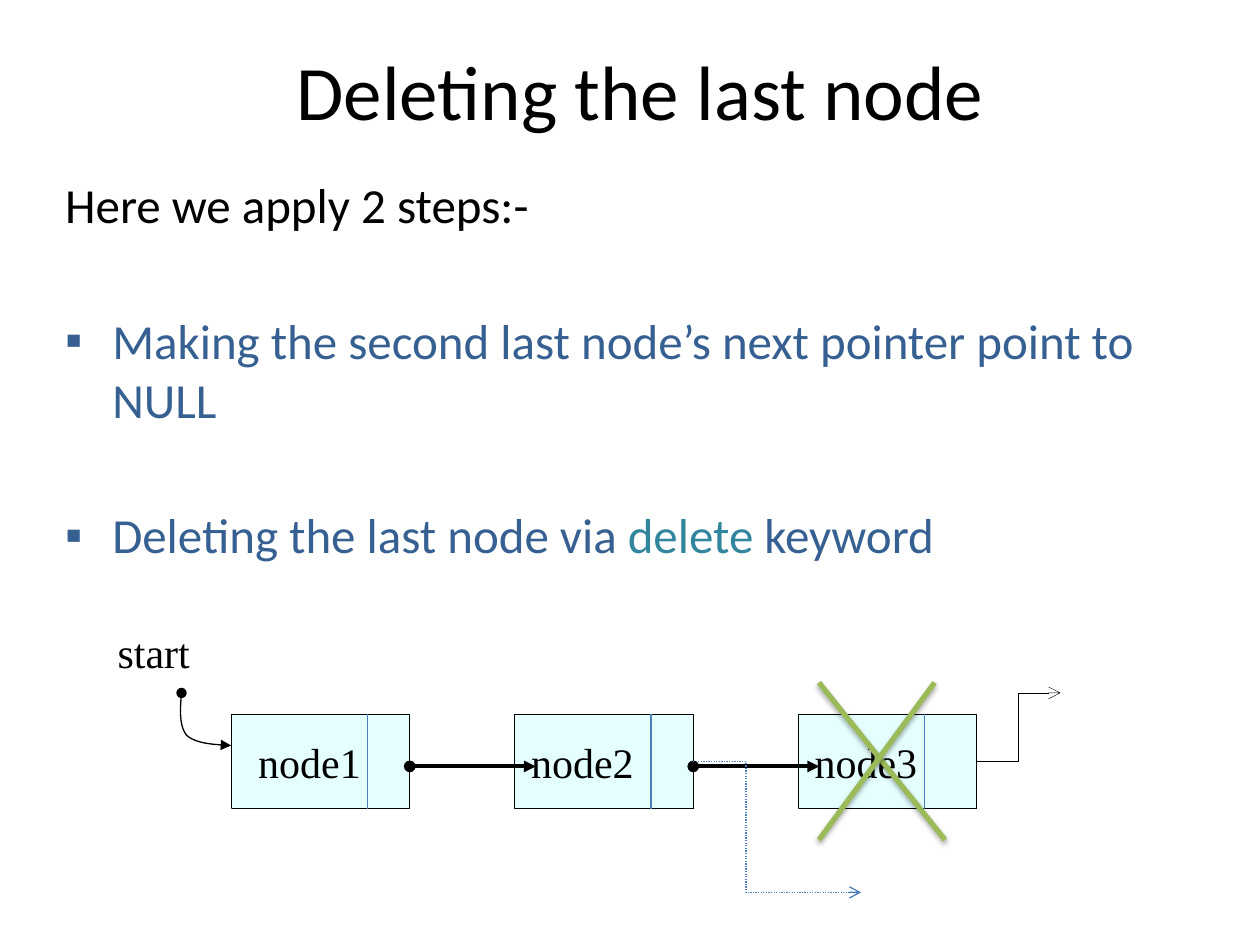
from lxml import etree
from pptx import Presentation
from pptx.dml.color import RGBColor
from pptx.enum.dml import MSO_LINE
from pptx.enum.shapes import MSO_CONNECTOR, MSO_SHAPE
from pptx.enum.text import MSO_ANCHOR, MSO_AUTO_SIZE, PP_ALIGN
from pptx.oxml.ns import qn
from pptx.util import Cm, Pt

STRAIGHT, ELBOW = MSO_CONNECTOR.STRAIGHT, MSO_CONNECTOR.ELBOW
RECT, DOT = MSO_SHAPE.RECTANGLE, MSO_LINE.ROUND_DOT
MIDDLE, FIXED = MSO_ANCHOR.MIDDLE, MSO_AUTO_SIZE.NONE
LEFT, CENTER = PP_ALIGN.LEFT, PP_ALIGN.CENTER
BLACK, BLUE, TEAL = "000000", "376092", "31859C"
STEEL, GREEN, AQUA = "4B7EBC", "9BBB59", "CCFFFF"
SERIF = "Times New Roman"
rgb = RGBColor.from_string


def write(para, text, size=28, color=BLACK, font="Calibri", align=LEFT):
    para.alignment = align
    run = para.add_run()
    run.text = text
    run.font.size, run.font.name = Pt(size), font
    run.font.color.rgb = rgb(color)


def stroke(shape, color, width, head=None, tail=None, dash=None):
    shape.line.color.rgb = rgb(color)
    shape.line.width = Pt(width)
    if dash:
        shape.line.dash_style = dash
    ln = shape.line._get_or_add_ln()
    for tag, kind in (("a:headEnd", head), ("a:tailEnd", tail)):
        if kind:
            etree.SubElement(ln, qn(tag), type=kind)
    props = shape._element.spPr
    if props.find(qn("a:effectLst")) is None:
        etree.SubElement(props, qn("a:effectLst"))
    return props


deck = Presentation()
deck.slide_width, deck.slide_height = Cm(25.4), Cm(19.05)
slide = deck.slides.add_slide(deck.slide_layouts[1])
shapes = slide.shapes

# Title
title = shapes.title
title.left, title.top, title.width, title.height = Cm(1.48), Cm(0.64), Cm(22.86), Cm(2.33)
title.text_frame.vertical_anchor = MIDDLE
write(title.text_frame.paragraphs[0], "Deleting the last node", size=44, align=CENTER)

# Steps
body = slide.placeholders[1]
body.left, body.top, body.width, body.height = Cm(1.06), Cm(3.39), Cm(22.86), Cm(8.68)
frame = body.text_frame
frame.auto_size = FIXED
steps = [
    [("Here we apply 2 steps:-", BLACK)],
    [("Making the second last node’s next pointer point to NULL", BLUE)],
    [("Deleting the last node via ", BLUE), ("delete ", TEAL), ("keyword", BLUE)],
]
for i, parts in enumerate(steps):
    para = frame.add_paragraph() if i else frame.paragraphs[0]
    for text, color in parts:
        write(para, text, color=color)
    props = para._p.get_or_add_pPr()
    props.set("marL", str(Cm(0.95)))
    props.set("indent", str(Cm(-0.95)))
    if i:
        para.space_before = Pt(44)
        etree.SubElement(props, qn("a:buFont"), typeface="Arial")
        etree.SubElement(props, qn("a:buChar"), char="▪")
    else:
        etree.SubElement(props, qn("a:buNone"))

# Nodes with their dividers
first, pitch, top, wide, high = 4.66, 5.715, 14.4, 3.6, 1.9
for i, (split, inset) in enumerate([(2.75, 0.69), (2.75, 1.12), (2.54, 1.12)]):
    x = first + i * pitch
    node = shapes.add_shape(RECT, Cm(x), Cm(top), Cm(wide), Cm(high))
    node.shadow.inherit = False
    node.fill.solid()
    node.fill.fore_color.rgb = rgb(AQUA)
    tint = node._element.spPr.find(qn("a:solidFill"))[0]
    etree.SubElement(tint, qn("a:alpha"), val="50000")
    stroke(node, BLACK, 0.25, dash=DOT)
    frame = node.text_frame
    frame.word_wrap = False
    frame.vertical_anchor = MIDDLE
    frame.margin_right = Cm(inset)
    write(frame.paragraphs[0], f"node{i + 1}", size=24, font=SERIF, align=CENTER)
    bar = shapes.add_connector(STRAIGHT, Cm(x + split), Cm(top), Cm(x + split), Cm(top + high))
    stroke(bar, STEEL, 0.75)

# Links between nodes
for i in range(2):
    x = first + wide + i * pitch
    link = shapes.add_connector(STRAIGHT, Cm(x), Cm(15.45), Cm(x + 2.54), Cm(15.45))
    stroke(link, BLACK, 2.25, head="oval", tail="triangle")

# Null pointers
for x, end_x, end_y, color, width, dash, bend in [
    (13.97, 17.36, 17.99, STEEL, 0.75, DOT, 31500),
    (19.69, 21.38, 13.97, BLACK, 0.25, None, 50000),
]:
    null = shapes.add_connector(ELBOW, Cm(x), Cm(15.35), Cm(end_x), Cm(end_y))
    props = stroke(null, color, width, tail="arrow", dash=dash)
    guides = props.find(qn("a:prstGeom")).get_or_add_avLst()
    etree.SubElement(guides, qn("a:gd"), name="adj1", fmla=f"val {bend}")

# Start label and its curved arrow
label = shapes.add_textbox(Cm(2.12), Cm(12.5), Cm(2.96), Cm(1.27))
label.text_frame.word_wrap = True
write(label.text_frame.paragraphs[0], "start", size=24, font=SERIF)

curves = [
    [(3.66, 13.97), (3.63, 14.3), (3.61, 14.63), (3.76, 14.82)],
    [(3.76, 14.82), (3.94, 14.99), (4.29, 15.01), (4.66, 15.03)],
]
dots = []
for curve in curves:
    for n in range(1, 13):
        t = n / 12
        weights = ((1 - t) ** 3, 3 * t * (1 - t) ** 2, 3 * t * t * (1 - t), t ** 3)
        dots.append([Cm(sum(w * p[k] for w, p in zip(weights, curve))) for k in (0, 1)])
path = shapes.build_freeform(Cm(3.66), Cm(13.97))
path.add_line_segments(dots, close=False)
arc = path.convert_to_shape()
arc.shadow.inherit = False
arc.fill.background()
stroke(arc, BLACK, 0.75, head="oval", tail="triangle")

# Cross over the deleted node
for x, end_x in [(16.51, 19.05), (18.84, 16.51)]:
    cross = shapes.add_connector(STRAIGHT, Cm(x), Cm(13.76), Cm(end_x), Cm(16.93))
    props = stroke(cross, GREEN, 3)
    shade = etree.SubElement(props.find(qn("a:effectLst")), qn("a:outerShdw"),
                             blurRad=str(Pt(3.1)), dist=str(Pt(1.8)),
                             dir="5400000", rotWithShape="0")
    tint = etree.SubElement(shade, qn("a:srgbClr"), val=BLACK)
    etree.SubElement(tint, qn("a:alpha"), val="35000")

deck.save("out.pptx")
